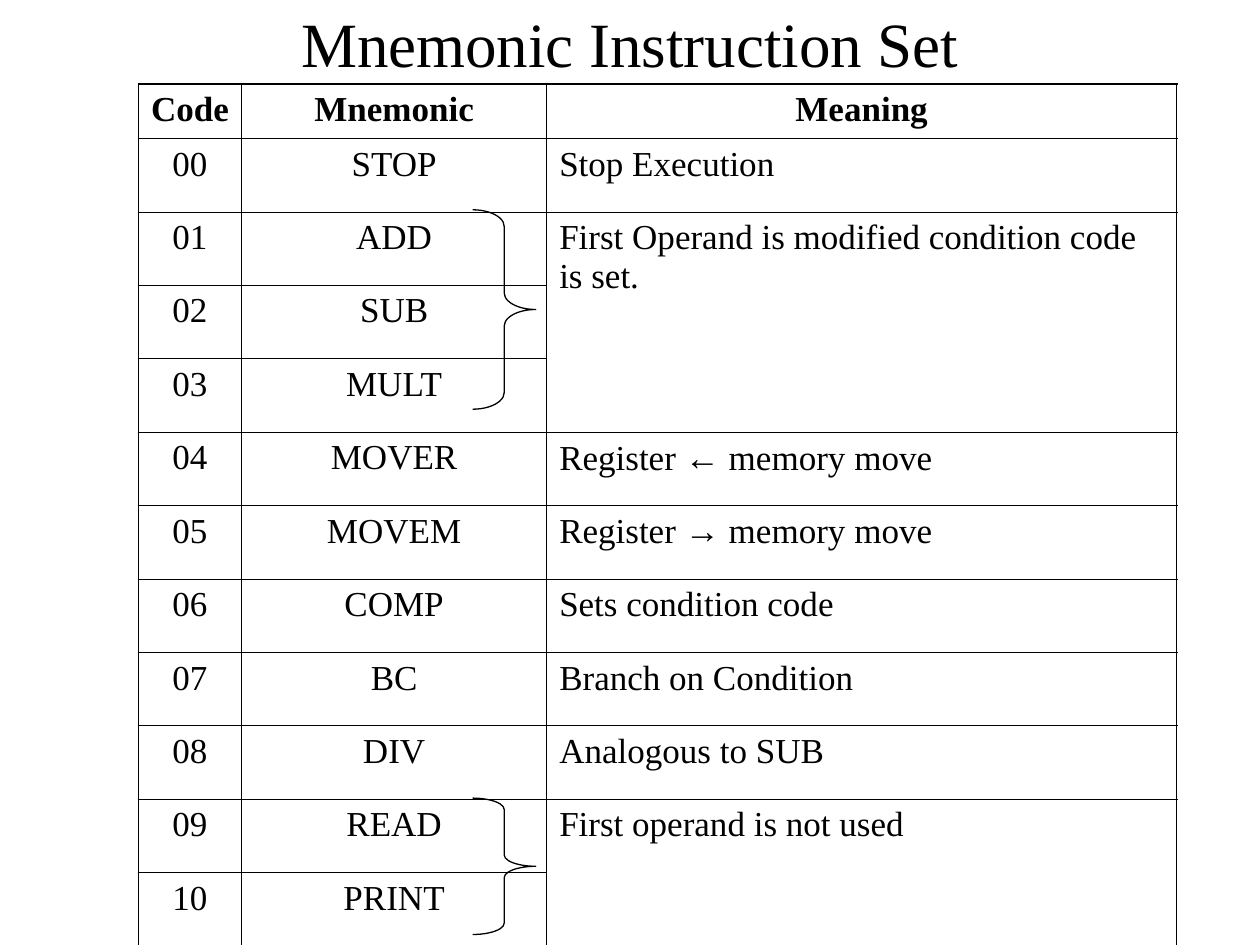
from pptx import Presentation
from pptx.dml.color import RGBColor
from pptx.enum.shapes import MSO_SHAPE as Shape
from pptx.enum.text import MSO_ANCHOR as Anchor, PP_ALIGN as Align
from pptx.oxml import parse_xml
from pptx.oxml.ns import nsdecls
from pptx.util import Cm, Pt

BLACK = RGBColor(0x00, 0x00, 0x00)
FONT, ARROW_FONT = "Times New Roman", "Arial"
ARROWS = "←→"
THIN, THICK = Pt(0.45), Pt(1.08)

COLUMN_WIDTHS = [Cm(2.08), Cm(6.15), Cm(12.7)]
HEADER_HEIGHT, ROW_HEIGHT = Cm(1.09), Cm(1.48)
HEADERS = ["Code", "Mnemonic", "Meaning"]
# Mnemonic and meaning by code; None continues the meaning above
INSTRUCTIONS = [
    ("STOP", "Stop Execution"),
    ("ADD", "First Operand is modified condition code is set."),
    ("SUB", None),
    ("MULT", None),
    ("MOVER", "Register ← memory move"),
    ("MOVEM", "Register → memory move"),
    ("COMP", "Sets condition code"),
    ("BC", "Branch on Condition"),
    ("DIV", "Analogous to SUB"),
    ("READ", "First operand is not used"),
    ("PRINT", None),
]


def write_text(frame, text, size=20, bold=False, align=Align.CENTER, before=0):
    """Write one paragraph, with any arrow in a run of its own."""
    paragraph = frame.paragraphs[0]
    paragraph.alignment = align
    paragraph.space_before = Pt(before)
    for arrow in ARROWS:
        text = text.replace(arrow, f"|{arrow}|")
    for part in text.split("|"):
        run = paragraph.add_run()
        run.text = part
        run.font.name = ARROW_FONT if part in ARROWS else FONT
        run.font.size = Pt(size)
        run.font.bold = bold
        run.font.color.rgb = BLACK


def set_borders(cell, widths):
    properties = cell._tc.get_or_add_tcPr()
    for side, width in zip("LRTB", widths):
        properties.append(parse_xml(
            f'<a:ln{side} {nsdecls("a")} w="{int(width)}"><a:solidFill>'
            f'<a:srgbClr val="{BLACK}"/></a:solidFill></a:ln{side}>'))


def add_title(slide, left, top, width, height):
    frame = slide.shapes.add_textbox(left, top, width, height).text_frame
    frame.word_wrap = True
    frame.vertical_anchor = Anchor.MIDDLE
    write_text(frame, "Mnemonic Instruction Set", size=36)


def add_instruction_table(slide, left, top):
    rows = [HEADERS] + [(f"{code:02d}", *instruction)
                        for code, instruction in enumerate(INSTRUCTIONS)]
    last_row, last_column = len(rows) - 1, len(HEADERS) - 1
    table = slide.shapes.add_table(
        len(rows), len(HEADERS), left, top, sum(COLUMN_WIDTHS),
        HEADER_HEIGHT + last_row * ROW_HEIGHT).table
    table.first_row = table.horz_banding = False
    for column, width in zip(table.columns, COLUMN_WIDTHS):
        column.width = width

    for i, row in enumerate(rows):
        table.rows[i].height = ROW_HEIGHT if i else HEADER_HEIGHT
        for j, text in enumerate(row):
            cell = table.cell(i, j)
            outer = (j == 0, j == last_column, i == 0, i == last_row)
            set_borders(cell, [THICK if edge else THIN for edge in outer])
            cell.fill.background()
            if text is not None:
                centred = i == 0 or j < last_column
                write_text(cell.text_frame, text, bold=i == 0, before=5,
                           align=Align.CENTER if centred else Align.LEFT)

    # Shared meanings span the rows they apply to
    starts = [i for i, row in enumerate(rows) if row[-1] is not None]
    for start, following in zip(starts, starts[1:] + [len(rows)]):
        if following - start > 1:
            table.cell(start, last_column).merge(
                table.cell(following - 1, last_column))


def add_brace(slide, left, top, width, height):
    brace = slide.shapes.add_shape(Shape.RIGHT_BRACE, left, top, width, height)
    brace.adjustments[0] = height / 12 / width
    brace.shadow.inherit = False
    brace.fill.background()
    brace.line.color.rgb = BLACK
    brace.line.width = Pt(0.75)


def main():
    presentation = Presentation()
    presentation.slide_width, presentation.slide_height = Cm(25.4), Cm(19.05)
    slide = presentation.slides.add_slide(presentation.slide_layouts[6])

    add_title(slide, Cm(1.9), Cm(0.21), Cm(21.6), Cm(1.27))
    add_instruction_table(slide, Cm(2.79), Cm(1.69))
    # Braces group the mnemonics that share a meaning
    for top, height in [(Cm(4.23), Cm(4.02)), (Cm(16.09), Cm(2.75))]:
        add_brace(slide, Cm(9.53), top, Cm(1.27), height)

    presentation.save("out.pptx")


if __name__ == "__main__":
    main()
